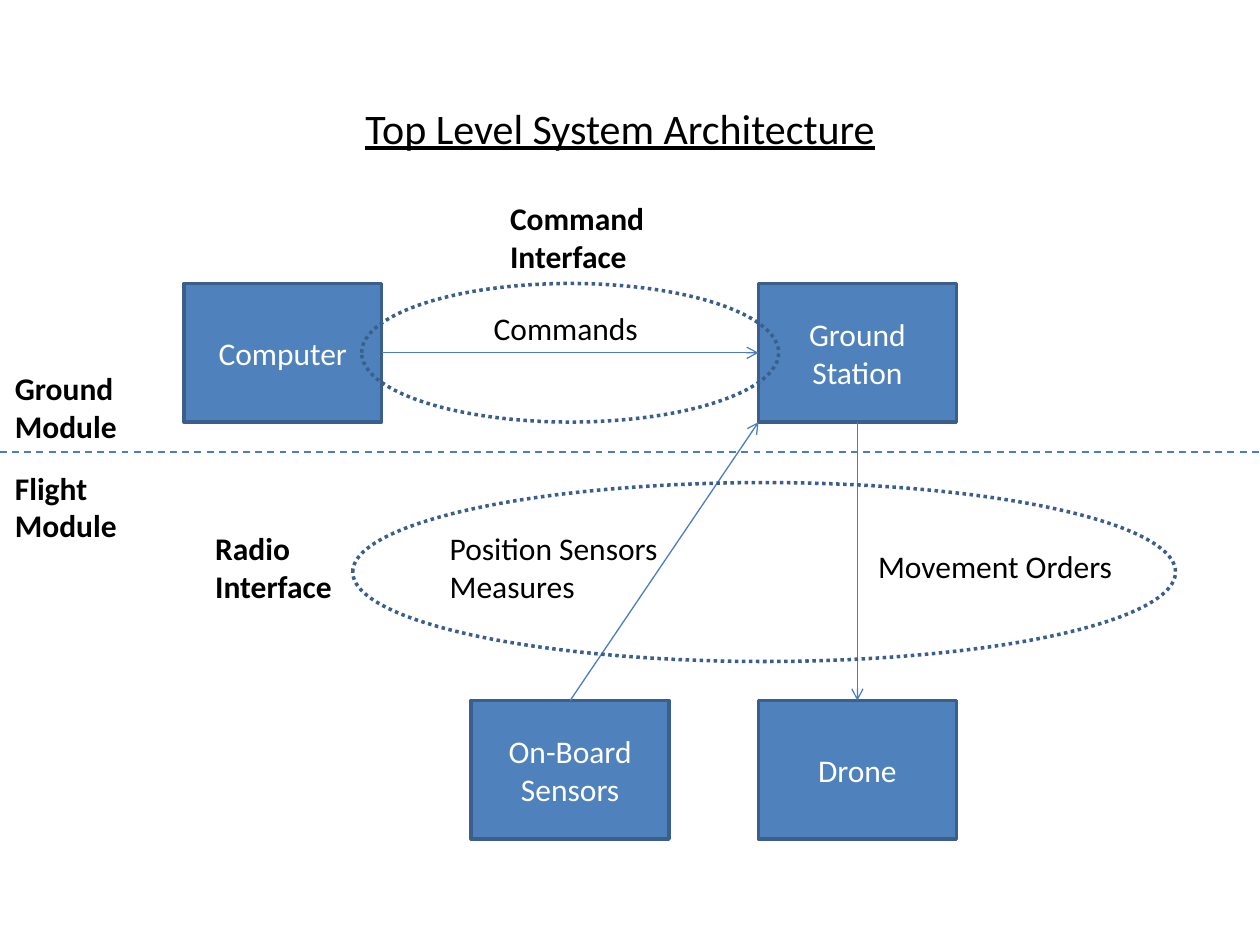
from lxml import etree
from pptx import Presentation
from pptx import util as u
from pptx.dml.color import RGBColor
from pptx.enum import dml, shapes, text
from pptx.oxml.ns import qn

BLUE = RGBColor(0x4F, 0x81, 0xBD)
BORDER = RGBColor(0x3A, 0x5F, 0x8C)
ARROW = RGBColor(0x4B, 0x7E, 0xBC)
WHITE = RGBColor(0xFF, 0xFF, 0xFF)
BLACK = RGBColor(0, 0, 0)

NODE_W, NODE_H = 1.57, 1.1
GROUND_Y, FLIGHT_Y = 2.25, 5.56
STATION_X = 6.02
TOP, LEFT, BOTTOM, RIGHT = range(4)  # connection sites of a rectangle


def inches(*lengths):
    return [u.Inches(length) for length in lengths]


def write(frame, words, color=BLACK, size=18, bold=False, underline=False,
          align=text.PP_ALIGN.LEFT, anchor=text.MSO_ANCHOR.TOP, wrap=True):
    frame.word_wrap = wrap
    frame.vertical_anchor = anchor
    paragraph = frame.paragraphs[0]
    paragraph.alignment = align
    run = paragraph.add_run()
    run.text = words
    font = run.font
    font.name, font.size, font.bold = "Calibri", u.Pt(size), bold
    font.underline = underline
    font.color.rgb = color


def add_title(slide, words, box):
    title = slide.shapes.title
    title.left, title.top, title.width, title.height = inches(*box)
    write(title.text_frame, words, size=24, underline=True)
    title.text_frame.auto_size = text.MSO_AUTO_SIZE.NONE


def add_outlined(slide, preset, box):
    outlined = slide.shapes.add_shape(preset, *inches(*box))
    outlined.shadow.inherit = False
    outlined.line.color.rgb = BORDER
    outlined.line.width = u.Pt(2)
    return outlined


def add_node(slide, words, left, top):
    node = add_outlined(slide, shapes.MSO_SHAPE.RECTANGLE,
                        (left, top, NODE_W, NODE_H))
    node.fill.solid()
    node.fill.fore_color.rgb = BLUE
    write(node.text_frame, words, WHITE, align=text.PP_ALIGN.CENTER,
          anchor=text.MSO_ANCHOR.MIDDLE)
    return node


def add_interface(slide, box):
    ring = add_outlined(slide, shapes.MSO_SHAPE.OVAL, box)
    ring.fill.background()
    ring.line.dash_style = dml.MSO_LINE.ROUND_DOT


def add_label(slide, words, box, bold=False, wrap=True):
    label = slide.shapes.add_textbox(*inches(*box))
    write(label.text_frame, words, bold=bold, wrap=wrap)


def add_line(slide, start, end, width=0.75):
    line = slide.shapes.add_connector(shapes.MSO_CONNECTOR.STRAIGHT,
                                      *inches(*start, *end))
    line.line.color.rgb = ARROW
    line.line.width = u.Pt(width)
    etree.SubElement(line._element.spPr, qn("a:effectLst"))
    return line


def add_arrow(slide, start, end, source, source_site, target=None,
              target_site=None):
    arrow = add_line(slide, start, end)
    arrow.begin_connect(source, source_site)
    if target is not None:
        arrow.end_connect(target, target_site)
    etree.SubElement(arrow.line._get_or_add_ln(), qn("a:tailEnd"), type="arrow")


def build_architecture(slide):
    add_title(slide, "Top Level System Architecture", (2.8, 0.76, 4.73, 0.5))

    # Nodes
    computer = add_node(slide, "Computer", 1.46, GROUND_Y)
    station = add_node(slide, "Ground Station", STATION_X, GROUND_Y)
    sensors = add_node(slide, "On-Board Sensors", 3.74, FLIGHT_Y)
    drone = add_node(slide, "Drone", STATION_X, FLIGHT_Y)

    # Data flows
    ground_bottom = GROUND_Y + NODE_H
    ground_middle = GROUND_Y + NODE_H / 2
    station_middle = STATION_X + NODE_W / 2
    add_arrow(slide, (3.03, ground_middle), (STATION_X, ground_middle),
              computer, RIGHT, station, LEFT)
    add_arrow(slide, (station_middle, ground_bottom),
              (station_middle, FLIGHT_Y), station, BOTTOM, drone, TOP)
    add_arrow(slide, (4.53, FLIGHT_Y), (STATION_X, ground_bottom),
              sensors, TOP)
    add_label(slide, "Commands", (3.82, 2.4, 1.36, 0.4), wrap=False)
    add_label(slide, "Movement Orders", (6.87, 4.29, 2.08, 0.4), wrap=False)
    add_label(slide, "Position Sensors Measures", (3.47, 4.15, 2.08, 0.71))

    # Interfaces
    add_interface(slide, (2.8, 3.83, 6.53, 1.42))
    add_interface(slide, (2.87, GROUND_Y, 3.31, NODE_H))

    # Border between the modules
    border = add_line(slide, (0, 3.59), (10, 3.59), width=1)
    border.line.dash_style = dml.MSO_LINE.DASH

    # Interface and module names
    for words, left, top in (("Command Interface", 3.95, 1.53),
                             ("Radio Interface", 1.61, 4.15),
                             ("Ground Module", 0.02, 2.88),
                             ("Flight Module", 0.02, 3.67)):
        add_label(slide, words, (left, top, 1.36, 0.71), bold=True)


deck = Presentation()
deck.slide_width, deck.slide_height = inches(10, 7.5)
build_architecture(deck.slides.add_slide(deck.slide_layouts[5]))
deck.save("out.pptx")
